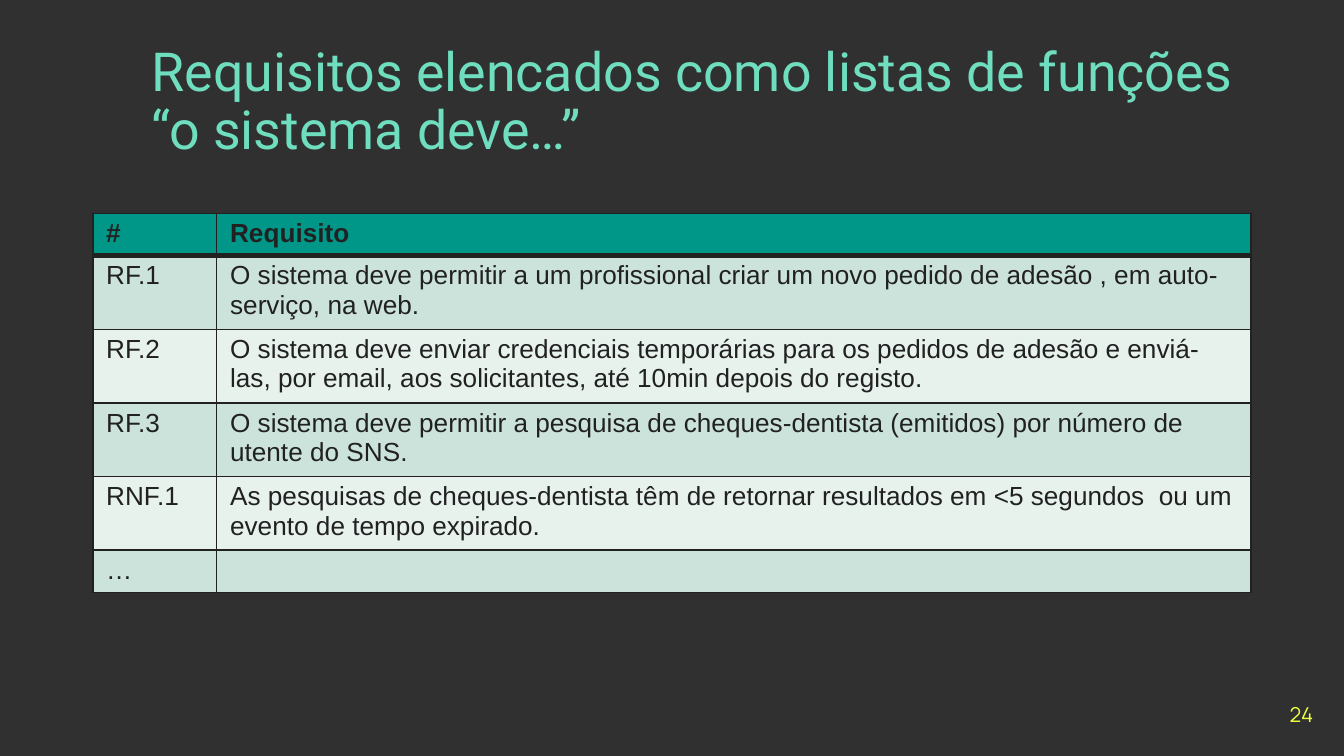
from lxml import etree
from pptx import Presentation
from pptx.dml.color import RGBColor
from pptx.enum.text import MSO_ANCHOR, PP_ALIGN
from pptx.oxml.ns import qn
from pptx.util import Pt

MIDDLE = MSO_ANCHOR.MIDDLE
LEFT, RIGHT = PP_ALIGN.LEFT, PP_ALIGN.RIGHT

BACKGROUND = RGBColor(0x30, 0x30, 0x30)
MINT = RGBColor(0x6E, 0xDE, 0xBF)
YELLOW = RGBColor(0xEE, 0xFF, 0x41)
INK = RGBColor(0x21, 0x21, 0x21)
TEAL = RGBColor(0x00, 0x96, 0x88)
BANDS = RGBColor(0xCB, 0xE3, 0xDA), RGBColor(0xE7, 0xF2, 0xED)

REQUIREMENTS = [
    ("#", "Requisito"),
    ("RF.1", "O sistema deve permitir a um profissional criar um novo pedido de adesão , em auto-serviço, na web."),
    ("RF.2", "O sistema deve enviar credenciais temporárias para os pedidos de adesão e enviá-las, por email, aos solicitantes, até 10min depois do registo."),
    ("RF.3", "O sistema deve permitir a pesquisa de cheques-dentista (emitidos) por número de utente do SNS."),
    ("RNF.1", "As pesquisas de cheques-dentista têm de retornar resultados em <5 segundos  ou um evento de tempo expirado."),
    ("…", ""),
]
COLUMN_WIDTHS = 66.4, 554.2
SINGLE_ROW, DOUBLE_ROW = 21.8, 36.9


def write(tf, text, font="Arial", size=14, color=INK, bold=False, align=LEFT, spacing=None):
    p = tf.paragraphs[0]
    p.alignment = align
    if spacing:
        p.line_spacing = spacing
    if not text:
        etree.SubElement(p._p, qn("a:endParaRPr"), sz=str(size * 100))
        return
    r = p.add_run()
    r.text = text
    r.font.name = font
    r.font.size = Pt(size)
    r.font.bold = bold
    r.font.color.rgb = color


class Deck:
    def __init__(self, width, height):
        self.prs = Presentation()
        self.prs.slide_width, self.prs.slide_height = Pt(width), Pt(height)
        self.s = self.prs.slides.add_slide(self.prs.slide_layouts[6])
        fill = self.s.background.fill
        fill.solid()
        fill.fore_color.rgb = BACKGROUND

    def text(self, x, y, w, h, text, **style):
        tf = self.s.shapes.add_textbox(Pt(x), Pt(y), Pt(w), Pt(h)).text_frame
        tf.word_wrap = True
        tf.vertical_anchor = MIDDLE
        write(tf, text, **style)

    def border(self, cell, side, width):
        ln = etree.SubElement(cell._tc.get_or_add_tcPr(), qn(f"a:{side}"), w=str(Pt(width)))
        fill = etree.SubElement(ln, qn("a:solidFill"))
        etree.SubElement(fill, qn("a:srgbClr"), val=str(INK))

    def cell(self, cell, text, row):
        cell.margin_left = cell.margin_right = Pt(7.2)
        cell.margin_top = cell.margin_bottom = Pt(2.9)
        header = row == 0
        write(cell.text_frame, text, bold=header)
        for side in ("lnL", "lnR", "lnT", "lnB"):
            thick = (header and side == "lnB") or (row == 1 and side == "lnT")
            self.border(cell, side, 3 if thick else 1)
        cell.fill.solid()
        cell.fill.fore_color.rgb = TEAL if header else BANDS[(row - 1) % 2]

    def table(self, x, y, widths, rows):
        heights = [DOUBLE_ROW if len(text) > 20 else SINGLE_ROW for _, text in rows]
        table = self.s.shapes.add_table(
            len(rows), len(widths), Pt(x), Pt(y), Pt(sum(widths)), Pt(sum(heights))
        ).table
        for column, width in zip(table.columns, widths):
            column.width = Pt(width)
        for i, (row, height) in enumerate(zip(rows, heights)):
            table.rows[i].height = Pt(height)
            for j, text in enumerate(row):
                self.cell(table.cell(i, j), text, i)


def main():
    deck = Deck(720, 405)
    deck.text(74.2, 32.4, 621.4, 45.4, "Requisitos elencados como listas de funções “o sistema deve…”",
              font="Roboto", size=28.8, color=MINT, spacing=0.9)
    deck.table(49.7, 114.4, COLUMN_WIDTHS, REQUIREMENTS)
    deck.text(667.4, 367.2, 43.2, 31, "24", font="Manrope", size=11, color=YELLOW, align=RIGHT)
    deck.prs.save("out.pptx")


if __name__ == "__main__":
    main()
